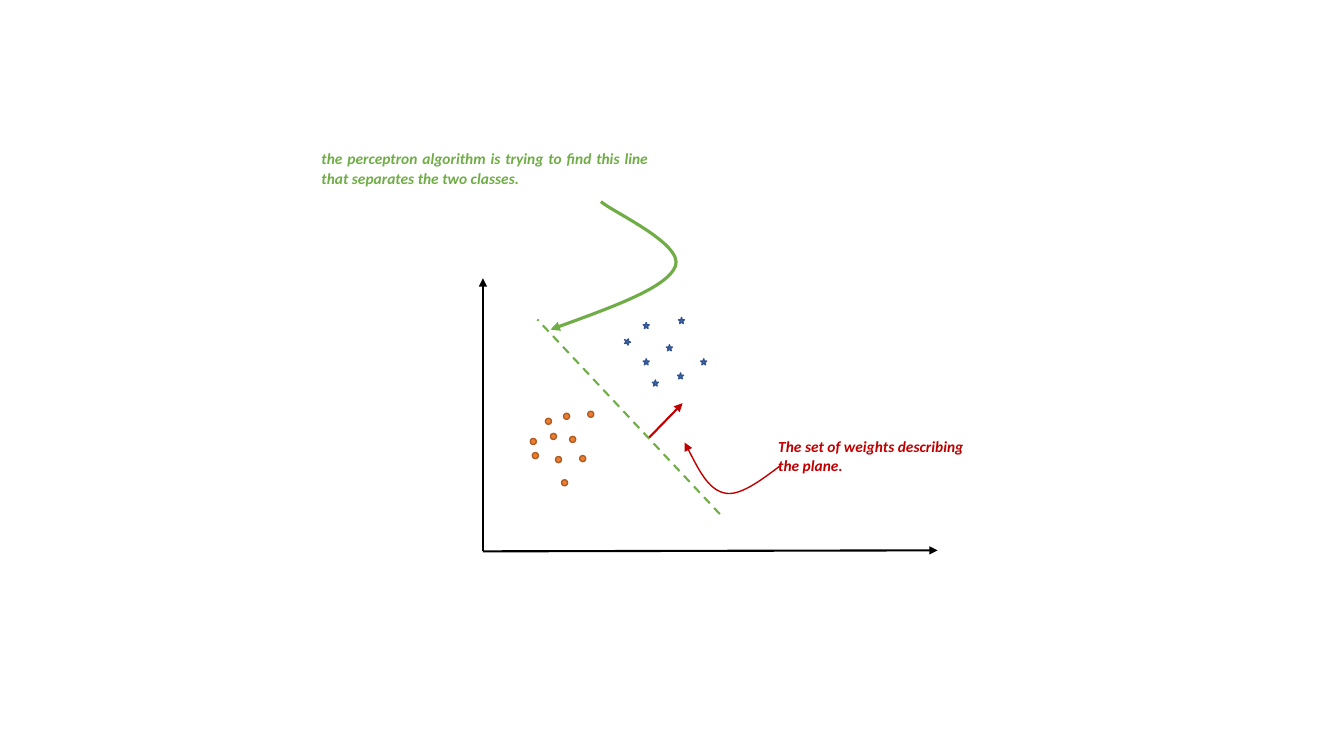
from dataclasses import dataclass

from lxml import etree
from pptx import Presentation
from pptx.dml.color import RGBColor
from pptx.enum.dml import MSO_LINE
from pptx.enum.shapes import MSO_CONNECTOR, MSO_SHAPE
from pptx.enum.text import MSO_ANCHOR, PP_ALIGN
from pptx.oxml.ns import qn
from pptx.util import Inches, Pt

STRAIGHT = MSO_CONNECTOR.STRAIGHT
STAR, DOT = MSO_SHAPE.STAR_5_POINT, MSO_SHAPE.OVAL
DASH = MSO_LINE.DASH
TOP = MSO_ANCHOR.TOP
LEFT, JUSTIFY = PP_ALIGN.LEFT, PP_ALIGN.JUSTIFY

COLORS = {
    "axis": "000000", "paper": "FFFFFF",
    "boundary": "70AD47", "weights": "C00000",
    "star": "4472C4", "star edge": "325491",
    "dot": "ED7D31", "dot edge": "AF5C24",
}
MARKER_SIZE = 0.06

# Marker corners, in inches from the top left of the plot
STARS = [(1.59, 0.44), (1.94, 0.39), (1.82, 0.66), (1.59, 0.80),
         (1.93, 0.94), (2.16, 0.80), (1.68, 1.01)]
TILTED_STAR = (1.40, 0.60)
DOTS = [(0.67, 1.54), (0.49, 1.73), (0.62, 1.39), (0.47, 1.59), (0.80, 1.34),
        (1.04, 1.32), (0.86, 1.57), (0.72, 1.77), (0.96, 1.76), (0.78, 2.00)]


@dataclass
class Box:
    left: float
    top: float
    width: float
    height: float

    def at(self, x, y):
        """Slide position of a point given in inches from the corner."""
        return Inches(self.left + x), Inches(self.top + y)


def color(name):
    return RGBColor.from_string(COLORS[name])


def style_line(shape, name, width, arrow=None):
    """Colour the line; arrow is headEnd (start), tailEnd (finish) or None."""
    shape.line.color.rgb = color(name)
    shape.line.width = Pt(width)
    if arrow:
        line = shape.line._get_or_add_ln()
        etree.SubElement(line, qn(f"a:{arrow}"), type="triangle")


def add_line(slide, box, start, end, name, arrow=None):
    line = slide.shapes.add_connector(STRAIGHT, *box.at(*start), *box.at(*end))
    etree.SubElement(line.element.spPr, qn("a:effectLst"))
    style_line(line, name, 1.5, arrow)
    return line


def add_marker(slide, box, kind, corner, name, rotation=0):
    size = Inches(MARKER_SIZE)
    marker = slide.shapes.add_shape(kind, *box.at(*corner), size, size)
    marker.shadow.inherit = False
    marker.rotation = rotation
    marker.fill.solid()
    marker.fill.fore_color.rgb = color(name)
    style_line(marker, f"{name} edge", 1)


def add_curve(slide, box, points, name, width, arrow):
    """Draw a start point followed by groups of three Bezier points."""
    start, *rest = [box.at(*point) for point in points]
    builder = slide.shapes.build_freeform(*start)
    builder.add_line_segments(rest, close=False)
    curve = builder.convert_to_shape()
    # Join each three straight segments into one cubic Bezier
    segments = list(curve.element.iter(qn("a:lnTo")))
    for first, second, third in zip(*[iter(segments)] * 3):
        bezier = etree.Element(qn("a:cubicBezTo"))
        first.addprevious(bezier)
        for segment in (first, second, third):
            bezier.append(segment[0])
            segment.getparent().remove(segment)
    curve.shadow.inherit = False
    curve.fill.background()
    style_line(curve, name, width, arrow)


def add_label(slide, box, text, name, alignment):
    label = slide.shapes.add_textbox(
        *box.at(0, 0), Inches(box.width), Inches(box.height))
    frame = label.text_frame
    frame.word_wrap = True
    frame.vertical_anchor = TOP
    para = frame.paragraphs[0]
    para.text = text
    para.alignment = alignment
    para.line_spacing = 1.07
    para.space_after = Pt(8)
    font = para.font
    font.name, font.size = "Calibri", Pt(11)
    font.bold = font.italic = True
    font.color.rgb = color(name)
    return label


def add_plot(slide, box):
    # Axes
    origin = (0, box.height)
    add_line(slide, box, origin, (0, 0), "axis", "tailEnd")
    add_line(slide, box, origin, (box.width, box.height - 0.01), "axis", "tailEnd")
    # Two classes
    for corner in STARS:
        add_marker(slide, box, STAR, corner, "star")
    add_marker(slide, box, STAR, TILTED_STAR, "star", 310.8)
    for corner in DOTS:
        add_marker(slide, box, DOT, corner, "dot")
    # Separating line and its weight vector
    boundary = add_line(slide, box, (2.35, 2.34), (0.54, 0.41), "boundary")
    boundary.line.dash_style = DASH
    add_line(slide, box, (1.65, 1.58), (1.98, 1.24), "weights", "tailEnd")


def add_boundary_note(slide, box):
    label = add_label(
        slide, box,
        "the perceptron algorithm is trying to find this line that separates "
        "the two classes.", "boundary", JUSTIFY)
    label.fill.solid()
    label.fill.fore_color.rgb = color("paper")
    points = [(2.37, 1.85), (2.95, 1.64), (3.53, 1.43), (3.61, 1.22),
              (3.69, 1.00), (2.98, 0.68), (2.87, 0.58)]
    add_curve(slide, box, points, "boundary", 2.25, "headEnd")


def add_weights_note(slide, box):
    add_label(slide, box, "The set of weights describing the plane.",
              "weights", LEFT)
    points = [(0.12, 0.35), (-0.08, 0.50), (-0.29, 0.66), (-0.44, 0.62),
              (-0.60, 0.58), (-0.71, 0.35), (-0.83, 0.12)]
    add_curve(slide, box, points, "weights", 1, "tailEnd")


def main():
    deck = Presentation()
    deck.slide_width, deck.slide_height = Inches(13.33), Inches(7.5)
    slide = deck.slides.add_slide(deck.slide_layouts[6])
    add_plot(slide, Box(4.79, 2.76, 4.51, 2.71))
    add_boundary_note(slide, Box(3.09, 1.42, 3.44, 1.07))
    add_weights_note(slide, Box(7.62, 4.27, 2.14, 0.78))
    deck.save("out.pptx")


if __name__ == "__main__":
    main()
